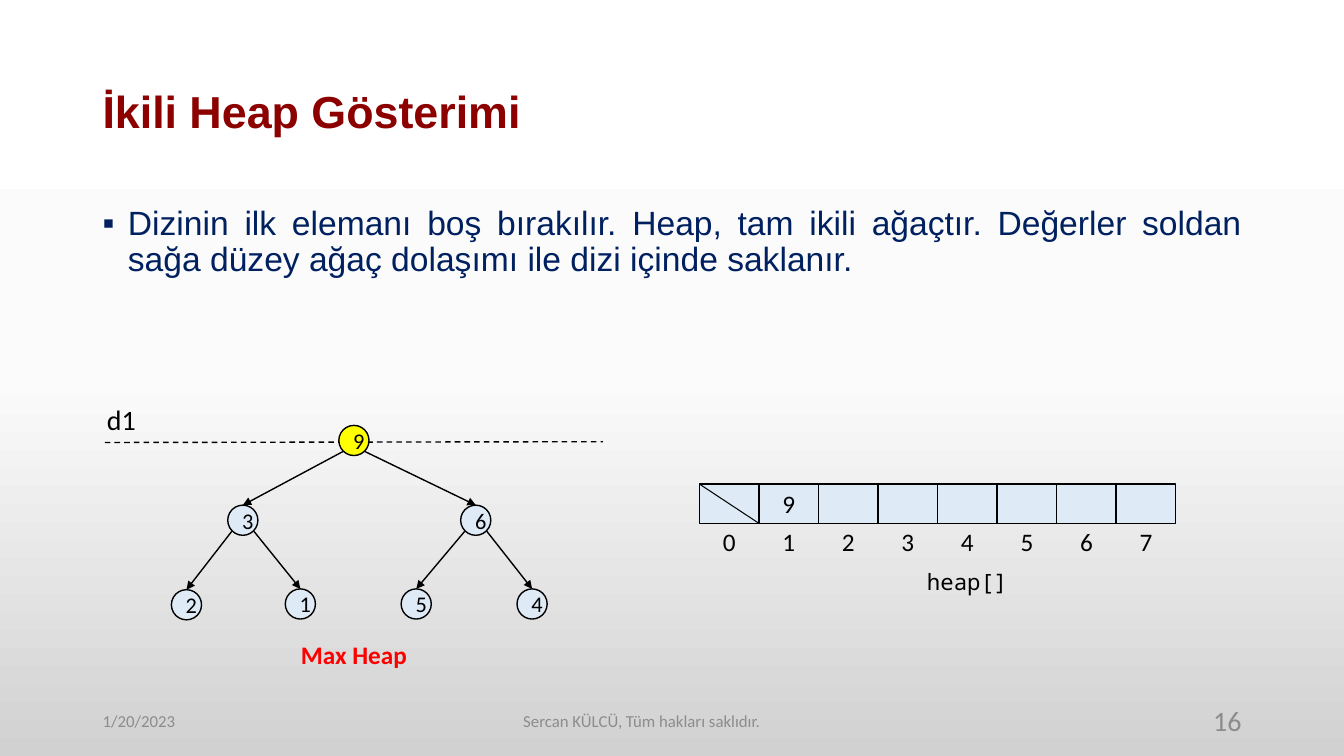
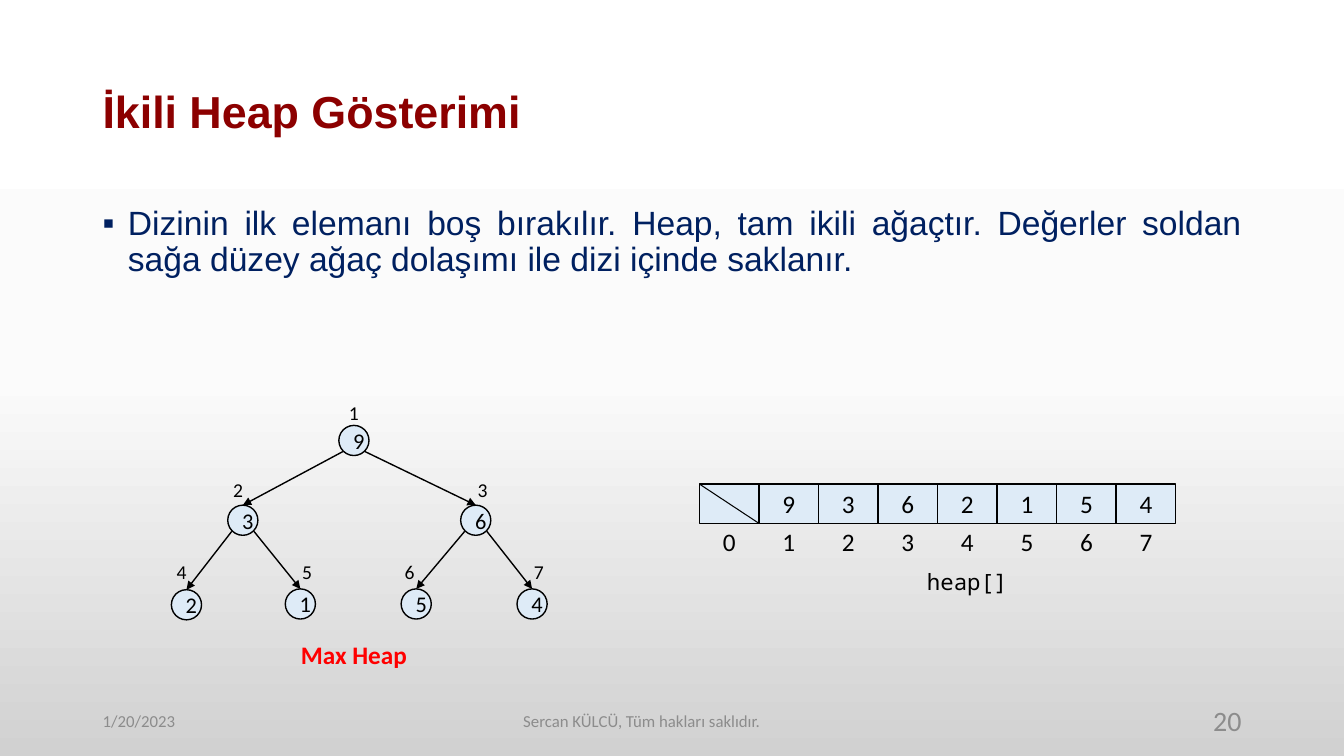
"""Builds two slides on storing a binary heap in an array."""
import copy
import dataclasses

import lxml.etree
import pptx
import pptx.dml.color
import pptx.enum.dml
import pptx.enum.shapes
import pptx.enum.text
import pptx.oxml.ns
import pptx.util

Cm, Pt = pptx.util.Cm, pptx.util.Pt
rgb = pptx.dml.color.RGBColor.from_string
qn = pptx.oxml.ns.qn
Align, Anchor = pptx.enum.text.PP_ALIGN, pptx.enum.text.MSO_ANCHOR
Shape = pptx.enum.shapes.MSO_SHAPE


@dataclasses.dataclass(frozen=True)
class Theme:
    heading_font: str = "Arial"
    label_font: str = "Calibri"
    code_font: str = "Noto Sans Mono"
    title: str = "8C0000"
    body: str = "002060"
    ink: str = "000000"
    muted: str = "8C8C8C"
    accent: str = "FF0000"
    node: str = "DEEBF7"
    current: str = "FFFF00"
    background: tuple = ((0, "FFFFFF"), (0.5, "FBFBFB"), (1, "D1D1D1"))
    title_size: int = 32
    body_size: int = 24
    large_size: int = 20
    cell_size: int = 18
    node_size: int = 16
    index_size: int = 14
    footer_size: int = 12


theme = Theme()


def add_text(s, box, text, size, color=theme.ink, align=Align.CENTER, anchor=Anchor.TOP,
             font=theme.label_font, bold=False, shape=None, fill=None, inset=0):
    box = [Cm(v) for v in box]
    if shape is None:
        sp = s.shapes.add_textbox(*box)
    else:
        sp = s.shapes.add_shape(shape, *box)
        sp.shadow.inherit = False
        sp.fill.solid()
        sp.fill.fore_color.rgb = rgb(fill)
        sp.line.color.rgb = rgb(theme.ink)
        sp.line.width = Pt(1)
    tf = sp.text_frame
    tf.word_wrap = True
    tf.vertical_anchor = anchor
    tf.margin_left, tf.margin_right = Cm(inset), 0
    if shape is not None:
        tf.margin_top = tf.margin_bottom = 0
    p = tf.paragraphs[0]
    p.alignment = align
    if text:
        r = p.add_run()
        r.text = text
        r.font.name, r.font.size, r.font.bold = font, Pt(size), bold
        r.font.color.rgb = rgb(color)


def add_line(s, start, end, width=1, dashed=False, arrow=False):
    cx = s.shapes.add_connector(pptx.enum.shapes.MSO_CONNECTOR.STRAIGHT,
                                *[Cm(v) for v in (*start, *end)])
    cx.line.color.rgb = rgb(theme.ink)
    cx.line.width = Pt(width)
    if dashed:
        cx.line.dash_style = pptx.enum.dml.MSO_LINE.DASH
    spPr = cx.element.spPr
    if arrow:
        lxml.etree.SubElement(spPr.find(qn("a:ln")), qn("a:tailEnd"), type="triangle")
    lxml.etree.SubElement(spPr, qn("a:effectLst"))


values = [9, 3, 6, 2, 1, 5, 4]
nodes = [
    (8.92, 11.10, 0, -1.12),
    (6.12, 13.11, -0.12, -1.20),
    (11.99, 13.11, 0.17, -1.20),
    (4.70, 15.24, -0.12, -1.25),
    (7.57, 15.22, 0.17, -1.23),
    (10.49, 15.22, -0.17, -1.23),
    (13.41, 15.22, 0.17, -1.23),
]
radius, arrow_offset = 0.38, 0.28
cell_left, cell_top, cell_w, cell_h = 17.63, 12.20, 1.50, 0.99
footer_top, footer_h = 17.65, 1.02

prs = pptx.Presentation()
prs.slide_width, prs.slide_height = Cm(33.87), Cm(19.05)
fill = prs.slide_master.background.fill
fill.gradient()
fill.gradient_angle = 270
stops = prs.slide_master.element.find(".//" + qn("a:gsLst"))
stops.insert(1, copy.deepcopy(stops[0]))
for stop, (position, color) in zip(fill.gradient_stops, theme.background):
    stop.position = position
    stop.color.rgb = rgb(color)

for number, filled, traversing in (("16", 1, True), ("20", 7, False)):
    s = prs.slides.add_slide(prs.slide_layouts[1])
    title, body = s.placeholders[0], s.placeholders[1]
    for sp, top, height, anchor, align, text, size, color in (
        (title, 1.02, 3.68, Anchor.MIDDLE, Align.LEFT, "İkili Heap Gösterimi",
         theme.title_size, theme.title),
        (body, 5.08, 13, Anchor.TOP, Align.JUSTIFY,
         "Dizinin ilk elemanı boş bırakılır. Heap, tam ikili ağaçtır. "
         "Değerler soldan sağa düzey ağaç dolaşımı ile dizi içinde saklanır.",
         theme.body_size, theme.body),
    ):
        sp.left, sp.top, sp.width, sp.height = Cm(2.33), Cm(top), Cm(29.21), Cm(height)
        tf = sp.text_frame
        tf.word_wrap = True
        tf.auto_size = pptx.enum.text.MSO_AUTO_SIZE.NONE
        tf.vertical_anchor = anchor
        p = tf.paragraphs[0]
        if sp is body:
            pPr = p._p.get_or_add_pPr()
            pPr.set("marL", str(Cm(0.64)))
            pPr.set("indent", str(-Cm(0.64)))
            lxml.etree.SubElement(pPr, qn("a:buFont"), typeface=theme.heading_font)
            lxml.etree.SubElement(pPr, qn("a:buChar"), char="▪")
        p.alignment = align
        p.line_spacing = 0.9
        p.space_before = Pt(0)
        r = p.add_run()
        r.text = text
        r.font.name, r.font.size, r.font.bold = theme.heading_font, Pt(size), sp is title
        r.font.color.rgb = rgb(color)

    for left, width, text, size, align in (
        (2.59, 7.11, "1/20/2023", theme.footer_size, Align.LEFT),
        (6.55, 19.25, "Sercan KÜLCÜ, Tüm hakları saklıdır.", theme.footer_size, Align.CENTER),
        (24.18, 7.11, number, theme.large_size, Align.RIGHT),
    ):
        add_text(s, (left, footer_top, width, footer_h), text, size, theme.muted,
                 align, Anchor.MIDDLE)

    if traversing:
        add_line(s, (2.64, 11.15), (15.19, 11.13), dashed=True)
        add_text(s, (2.44, 10.03, 1.24, 1.12), "d1", theme.large_size)

    for i, (x, y, dx, dy) in enumerate(nodes, 1):
        if i > 1:
            parent_x, parent_y = nodes[i // 2 - 1][:2]
            side = -1 if i % 2 == 0 else 1
            add_line(s, (parent_x + side * arrow_offset, parent_y + arrow_offset),
                     (x, y - radius), arrow=True)
        add_text(s, (x - radius, y - radius, 2 * radius, 2 * radius), str(values[i - 1]),
                 theme.node_size, anchor=Anchor.MIDDLE, shape=Shape.OVAL, inset=0.25,
                 fill=theme.current if traversing and i == 1 else theme.node)
        if not traversing:
            add_text(s, (x + dx - radius, y + dy, 2 * radius, 0.86), str(i), theme.index_size)
    add_text(s, (7.32, 15.98, 3.2, 1.02), "Max Heap", theme.cell_size, theme.accent, bold=True)

    for i in range(len(values) + 1):
        left = cell_left + i * cell_w
        text = str(values[i - 1]) if 1 <= i <= filled else ""
        add_text(s, (left, cell_top, cell_w, cell_h), text, theme.cell_size,
                 anchor=Anchor.MIDDLE, shape=Shape.RECTANGLE, fill=theme.node)
        add_text(s, (left, 13.13, cell_w, 1.02), str(i), theme.cell_size)
    add_line(s, (cell_left, cell_top), (cell_left + cell_w, cell_top + cell_h), width=0.75)
    add_text(s, (23.09, 14.2, 2.57, 0.94), "heap[]", theme.node_size, font=theme.code_font)

prs.save("out.pptx")
